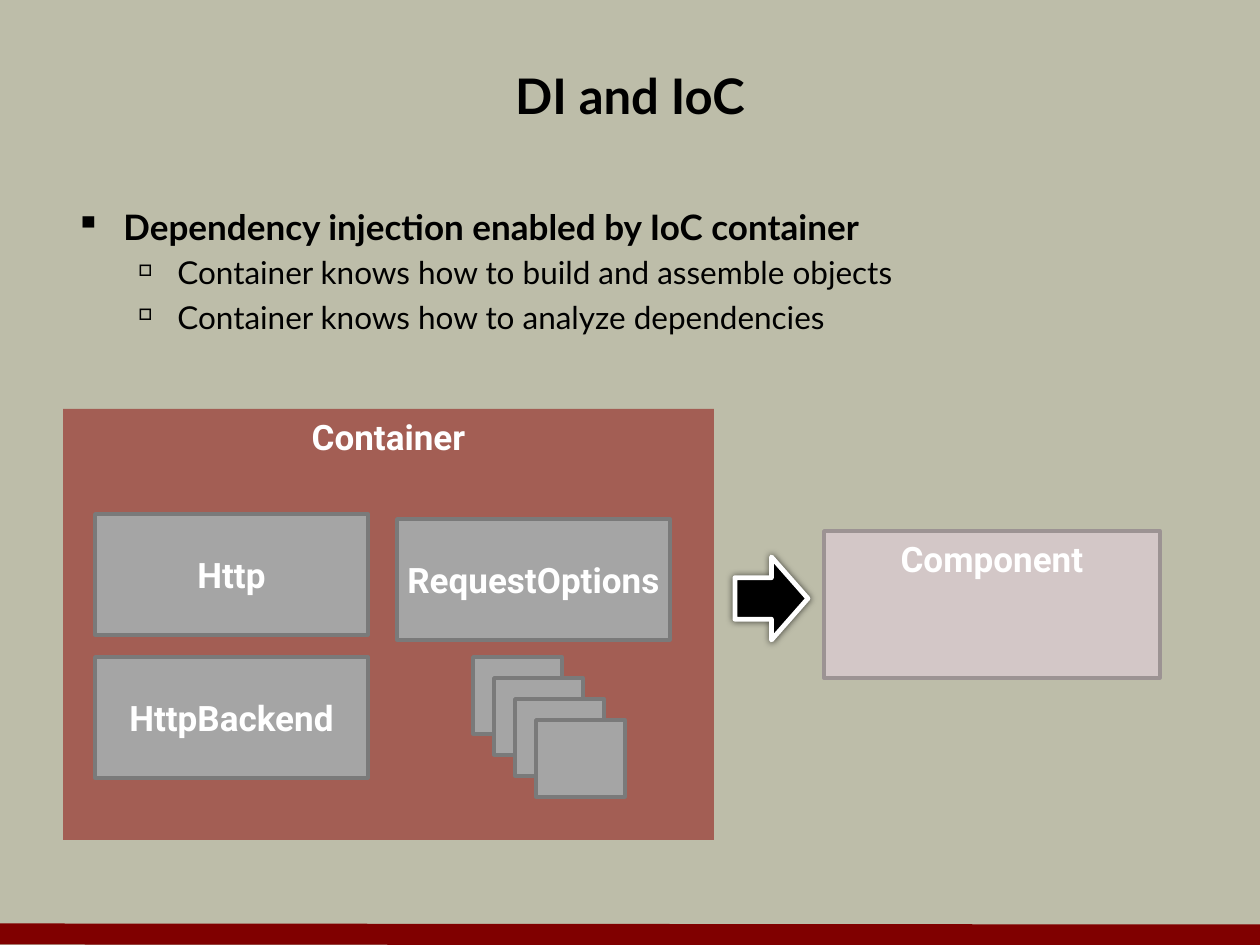
from dataclasses import dataclass

from lxml import etree
from pptx import Presentation
from pptx.dml.color import RGBColor
from pptx.enum.shapes import MSO_CONNECTOR, MSO_SHAPE
from pptx.enum.text import MSO_ANCHOR, PP_ALIGN
from pptx.oxml.ns import qn
from pptx.util import Emu, Pt

EMU_PER_PX = 914400 // 126
EMU_PER_PT = 12700
BOX_W, BOX_H = 273, 121
CARD_W, CARD_H, CARD_STEP = 89, 77, 21


@dataclass
class Box:
    left: int
    top: int
    width: int
    height: int
    label: str = ""
    fill: str = "A5A5A5"
    line: str | None = "7A7A7A"
    line_pt: float = 2
    anchor: MSO_ANCHOR = MSO_ANCHOR.MIDDLE
    preset: MSO_SHAPE = MSO_SHAPE.RECTANGLE


@dataclass
class Bullet:
    text: str
    level: int
    size: int
    bold: bool
    left: int
    hang: int
    mark: str
    mark_percent: int


def px(value: int) -> Emu:
    return Emu(value * EMU_PER_PX)


def set_color(color_format, value: str) -> None:
    color_format.rgb = RGBColor.from_string(value)


def style_run(paragraph, text: str, font: str, size: int, color: str, bold: bool) -> None:
    run = paragraph.add_run()
    run.text = text
    run.font.name, run.font.size, run.font.bold = font, Pt(size), bold
    set_color(run.font.color, color)


def add_box(slide, box: Box):
    shape = slide.shapes.add_shape(
        box.preset, px(box.left), px(box.top), px(box.width), px(box.height))
    shape.shadow.inherit = False
    shape.fill.solid()
    set_color(shape.fill.fore_color, box.fill)
    if box.line:
        set_color(shape.line.color, box.line)
        shape.line.width = Pt(box.line_pt)
    else:
        shape.line.fill.background()
    if box.label:
        frame = shape.text_frame
        frame.word_wrap = False
        frame.vertical_anchor = box.anchor
        frame.paragraphs[0].alignment = PP_ALIGN.CENTER
        style_run(frame.paragraphs[0], box.label, "Roboto", 20, "FFFFFF", True)
    return shape


def add_frame(slide, left: int, top: int, width: int, height: int):
    frame = slide.shapes.add_textbox(px(left), px(top), px(width), px(height)).text_frame
    frame.word_wrap = True
    return frame


def add_bullet(paragraph, bullet: Bullet) -> None:
    paragraph.level = bullet.level
    paragraph.space_before = Pt(bullet.size * 0.2)
    style_run(paragraph, bullet.text, "Lato", bullet.size, "000000", bullet.bold)
    props = paragraph._p.get_or_add_pPr()
    props.set("marL", str(px(bullet.left)))
    props.set("indent", str(-px(bullet.hang)))
    etree.SubElement(props, qn("a:buSzPct"), val=str(bullet.mark_percent * 1000))
    etree.SubElement(props, qn("a:buChar"), char=bullet.mark)


def add_glow_shadow(shape, blur_pt: int, alpha: int) -> None:
    effects = shape._element.spPr.find(qn("a:effectLst"))
    shadow = etree.SubElement(effects, qn("a:outerShdw"),
                              blurRad=str(blur_pt * EMU_PER_PT), dist="0", dir="0")
    color = etree.SubElement(shadow, qn("a:srgbClr"), val="000000")
    etree.SubElement(color, qn("a:alpha"), val=str(alpha * 1000))


prs = Presentation()
prs.slide_width, prs.slide_height = px(1260), px(945)
slide = prs.slides.add_slide(prs.slide_layouts[6])
slide.background.fill.solid()
set_color(slide.background.fill.fore_color, "BDBDA9")

# Footer band
band = slide.shapes.add_connector(MSO_CONNECTOR.STRAIGHT, px(0), px(934), px(1260), px(935))
set_color(band.line.color, "800000")
band.line.width = Pt(12)
etree.SubElement(band._element.spPr, qn("a:effectLst"))

# Title
title = add_frame(slide, 63, 42, 1134, 105)
title.vertical_anchor = MSO_ANCHOR.MIDDLE
title.paragraphs[0].alignment = PP_ALIGN.CENTER
style_run(title.paragraphs[0], "DI and IoC", "Lato", 28, "000000", True)

# Bullets
bullets = [Bullet("Dependency injection enabled by IoC container", 0, 20, True, 48, 48, "▪", 100)]
bullets += [
    Bullet(f"Container knows how to {task}", 1, 18, False, 102, 39, "□", 50)
    for task in ("build and assemble objects", "analyze dependencies")
]
body = add_frame(slide, 63, 199, 1134, 620)
for index, bullet in enumerate(bullets):
    add_bullet(body.add_paragraph() if index else body.paragraphs[0], bullet)

# Container, half transparent
container = add_box(slide, Box(63, 409, 651, 431, "Container", "8B0000", None,
                               anchor=MSO_ANCHOR.TOP))
container_color = container._element.spPr.find(qn("a:solidFill"))[0]
etree.SubElement(container_color, qn("a:alpha"), val="50000")

# Services, stacked cards and the component
boxes = [
    Box(95, 514, BOX_W, BOX_H, "Http"),
    Box(95, 657, BOX_W, BOX_H, "HttpBackend"),
    Box(397, 519, BOX_W, BOX_H, "RequestOptions"),
]
boxes += [Box(473 + i * CARD_STEP, 657 + i * CARD_STEP, CARD_W, CARD_H) for i in range(4)]
boxes.append(Box(824, 531, 336, 147, "Component", "D3C7C7", "9C9393", anchor=MSO_ANCHOR.TOP))
for box in boxes:
    add_box(slide, box)

# Arrow to the component
arrow = add_box(slide, Box(735, 557, 73, 83, "", "000000", "FFFFFF", 2.75,
                           preset=MSO_SHAPE.RIGHT_ARROW))
add_glow_shadow(arrow, 4, 64)

prs.save("out.pptx")
